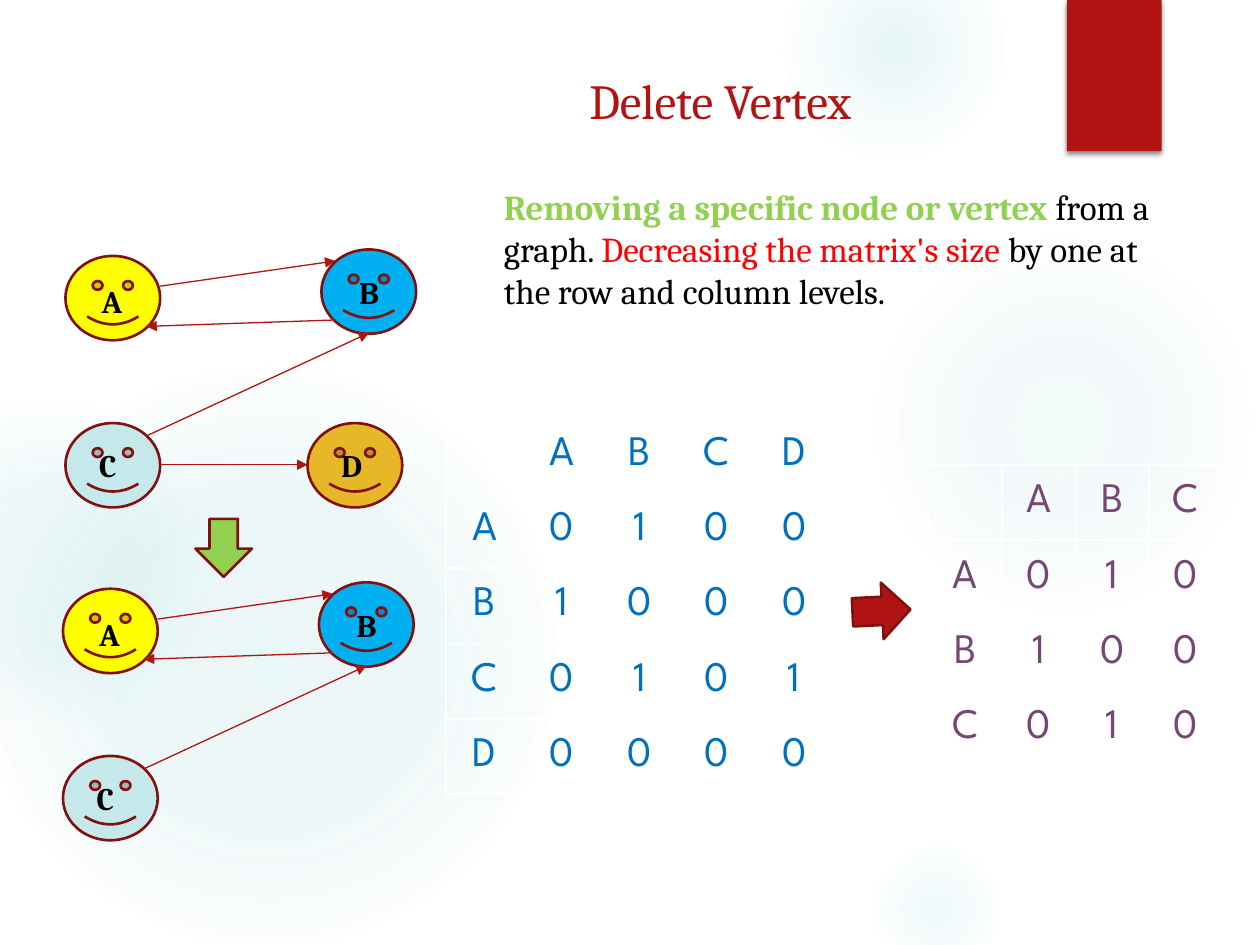
import pptx
import pptx.dml.color
import pptx.enum.shapes
import pptx.enum.text
import pptx.oxml
import pptx.oxml.ns
import pptx.util
from lxml import etree

Cm, Pt = pptx.util.Cm, pptx.util.Pt
MSO = pptx.enum.shapes.MSO_SHAPE
ANCHOR = pptx.enum.text.MSO_ANCHOR
ALIGN = pptx.enum.text.PP_ALIGN
NS = pptx.oxml.ns.nsdecls("a")
qn = pptx.oxml.ns.qn

RED, DARK_RED, BLACK, GREEN = "B01513", "82100E", "000000", "92D050"


def rgb(value):
    return pptx.dml.color.RGBColor.from_string(value)


def xml(text):
    return pptx.oxml.parse_xml(f"<a:root {NS}>{text}</a:root>")[0]


class Deck:
    serif, sans = "Cambria", "League Spartan"

    def __init__(self, width, height):
        self.prs = pptx.Presentation()
        self.prs.slide_width, self.prs.slide_height = Cm(width), Cm(height)
        self.s = self.prs.slides.add_slide(self.prs.slide_layouts[6])

    def style(self, r, font, size, color, bold=False):
        r.font.name, r.font.size, r.font.bold = font, Pt(size), bold
        r.font.color.rgb = rgb(color)

    def shape(self, kind, x, y, w, h, fill, line=None, rotation=0):
        sp = self.s.shapes.add_shape(kind, Cm(x), Cm(y), Cm(w), Cm(h))
        sp.shadow.inherit = False
        sp.rotation = rotation
        sp.fill.solid()
        sp.fill.fore_color.rgb = rgb(fill)
        if line:
            sp.line.color.rgb = rgb(line)
            sp.line.width = Pt(1.5)
        else:
            sp.line.fill.background()
        return sp

    def glow(self, x, y, size, stops):
        """Soft circle; stops are (position %, opacity %)."""
        color = "50B9C1"
        sp = self.shape(MSO.OVAL, x, y, size, size, color)
        gs = "".join(
            f'<a:gs pos="{pos * 1000}"><a:srgbClr val="{color}">'
            f'<a:alpha val="{alpha * 1000}"/></a:srgbClr></a:gs>'
            for pos, alpha in stops)
        grad = xml(f'<a:gradFill><a:gsLst>{gs}</a:gsLst><a:path path="circle">'
                   '<a:fillToRect l="50000" t="50000" r="50000" b="50000"/>'
                   '</a:path></a:gradFill>')
        spPr = sp.element.spPr
        spPr.replace(spPr.find(qn("a:solidFill")), grad)

    def drop_shadow(self, sp):
        sp.element.spPr.find(qn("a:effectLst")).append(xml(
            f'<a:outerShdw blurRad="{Pt(3)}" dist="{Pt(2)}" dir="5400000">'
            '<a:srgbClr val="000000"><a:alpha val="45000"/></a:srgbClr>'
            '</a:outerShdw>'))

    def text(self, x, y, w, h, runs, size):
        """Text box; runs are (text, colour, bold)."""
        tf = self.s.shapes.add_textbox(Cm(x), Cm(y), Cm(w), Cm(h)).text_frame
        tf.word_wrap = True
        for text, color, bold in runs:
            r = tf.paragraphs[0].add_run()
            r.text = text
            self.style(r, self.serif, size, color, bold)

    def face(self, x, y, fill, label=""):
        sp = self.shape(MSO.SMILEY_FACE, x, y, 1.91, 1.7, fill, DARK_RED)
        if label:
            tf = sp.text_frame
            tf.text = label
            tf.vertical_anchor = ANCHOR.MIDDLE
            tf.margin_left = Cm(0.4)
            p = tf.paragraphs[0]
            p.alignment = ALIGN.LEFT
            self.style(p.runs[0], self.serif, 18, BLACK, True)

    def arrow(self, x1, y1, x2, y2):
        cx = self.s.shapes.add_connector(
            pptx.enum.shapes.MSO_CONNECTOR.STRAIGHT, Cm(x1), Cm(y1), Cm(x2), Cm(y2))
        cx.line.color.rgb = rgb(RED)
        cx.line.width = Pt(0.75)
        spPr = cx.element.spPr
        spPr.find(qn("a:ln")).append(xml('<a:tailEnd type="triangle"/>'))
        etree.SubElement(spPr, qn("a:effectLst"))

    def matrix(self, x, y, col, row, names, values, color):
        """Adjacency matrix; values holds one string of digits per row."""
        rows = [["", *names]] + [[n, *v] for n, v in zip(names, values)]
        n = len(rows)
        table = self.s.shapes.add_table(
            n, n, Cm(x), Cm(y), Cm(col * n), Cm(row * n)).table
        table.first_row = table.horz_banding = False
        for i, cells in enumerate(rows):
            for j, value in enumerate(cells):
                self.cell(table.cell(i, j), value, color)

    def cell(self, cell, value, color):
        cell.vertical_anchor = ANCHOR.MIDDLE
        cell.margin_left = cell.margin_right = Cm(0.25)
        cell.margin_top = cell.margin_bottom = Cm(0.25)
        tcPr = cell._tc.get_or_add_tcPr()
        for side in "LRTB":
            tcPr.append(xml(f'<a:ln{side} w="{Pt(1)}"><a:solidFill>'
                            f'<a:srgbClr val="FFFFFF"/></a:solidFill></a:ln{side}>'))
        cell.fill.background()
        if value:
            p = cell.text_frame.paragraphs[0]
            p.text = value
            p.alignment = ALIGN.CENTER
            self.style(p.runs[0], self.sans, 24, color)

    def graph(self, dx, dy, with_d):
        """Vertices A, B, C and optionally D with their edges."""
        self.face(6.48 + dx, 5.03 + dy, "00B0F0")
        self.face(1.32 + dx, 5.16 + dy, "FFFF00")
        self.face(1.32 + dx, 8.53 + dy, "C5E8EA", "C")
        edges = [(2.95, 8.79, 7.44, 6.71), (3.23, 5.77, 6.76, 5.26),
                 (6.76, 6.45, 2.95, 6.58)]
        if with_d:
            self.face(6.2 + dx, 8.53 + dy, "E6B729", "D")
            edges.append((3.23, 9.37, 6.2, 9.37))
        for x1, y1, x2, y2 in edges:
            self.arrow(x1 + dx, y1 + dy, x2 + dx, y2 + dy)
        self.text(1.8 + dx, 5.56 + dy, 1.35, 1.02, [("A", BLACK, True)], 18)
        self.text(6.99 + dx, 5.38 + dy, 13.97, 1.02, [("B", BLACK, True)], 18)


def main():
    d = Deck(25.4, 19.05)

    # Background glows and corner ribbon
    for x, y, size, stops in [
        (17.5, 4.65, 7.82, [(0, 7), (36, 6), (69, 0)]),
        (15.8, -1.27, 4.45, [(0, 14), (36, 7), (73, 0)]),
        (17.5, 16.94, 2.74, [(0, 9), (36, 5), (66, 0)]),
        (-0.43, 7.42, 11.63, [(0, 11), (36, 10), (75, 0)]),
        (-2.34, 8.05, 6.55, [(0, 8), (36, 8), (72, 0)]),
    ]:
        d.glow(x, y, size, stops)
    d.drop_shadow(d.shape(MSO.RECTANGLE, 21.51, 0, 1.91, 3.05, RED))

    # Title and description
    d.text(11.63, 1.3, 14.17, 1.45, [("Delete Vertex", RED, False)], 28)
    d.text(9.91, 3.61, 13.59, 12.57, [
        ("Removing a specific node or vertex ", GREEN, True),
        ("from a graph. ", BLACK, False),
        ("Decreasing the matrix's size ", "FF0000", False),
        ("by one at the row and column levels.", BLACK, False),
    ], 20)

    # Graph before and after the deletion
    d.graph(0, 0, True)
    d.graph(-0.05, 6.71, False)
    d.shape(MSO.DOWN_ARROW, 3.94, 10.46, 1.14, 1.17, GREEN, DARK_RED)

    # Matrix before and after the deletion
    d.matrix(8.99, 8.41, 1.56, 1.52, "ABCD", ["0100", "1000", "0101", "0000"], "0070C0")
    d.shape(MSO.DOWN_ARROW, 17.2, 11.73, 1.14, 1.17, RED, DARK_RED, 267.2)
    d.matrix(18.72, 9.37, 1.48, 1.52, "ABC", ["010", "100", "010"], "764674")

    d.prs.save("out.pptx")


if __name__ == "__main__":
    main()
